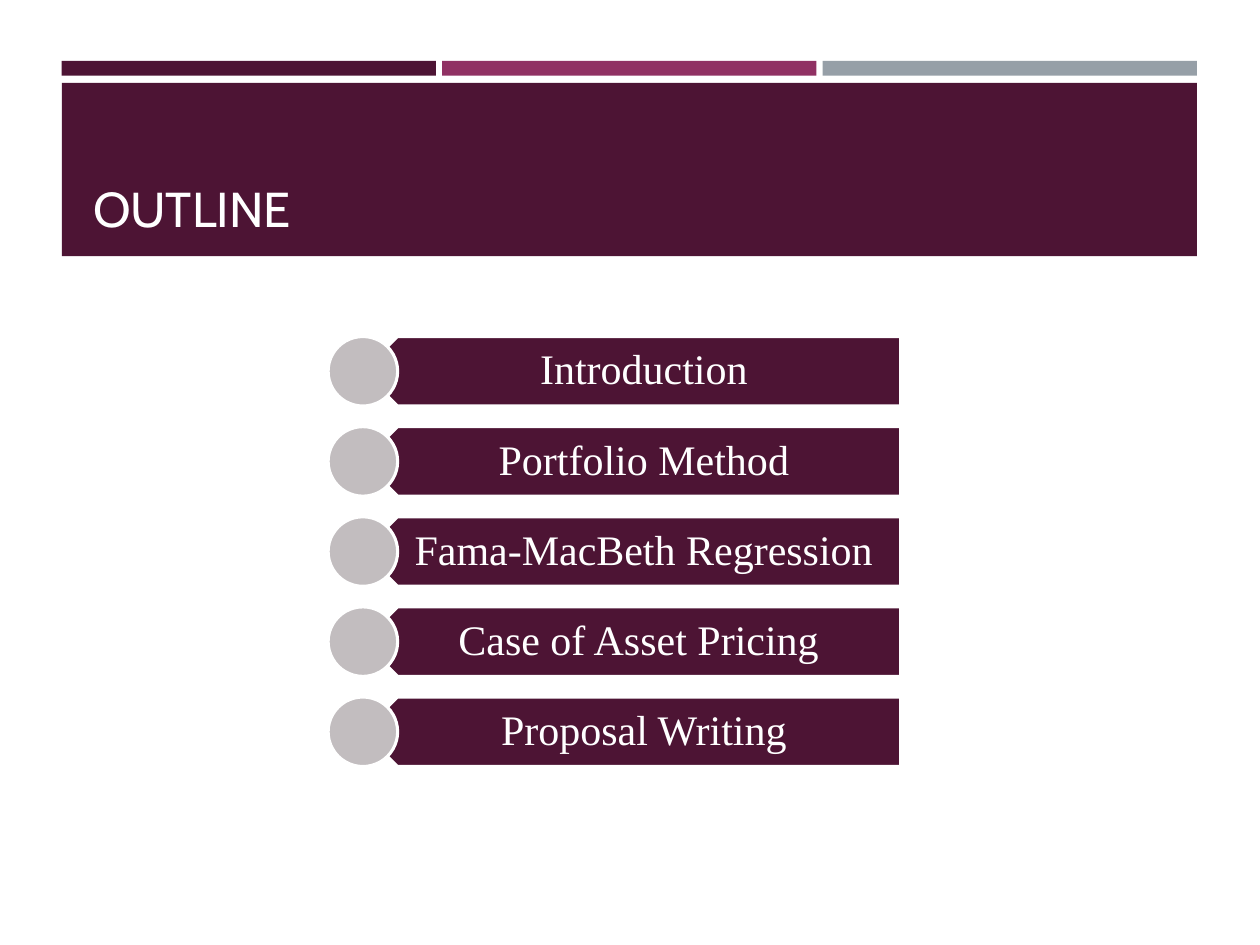
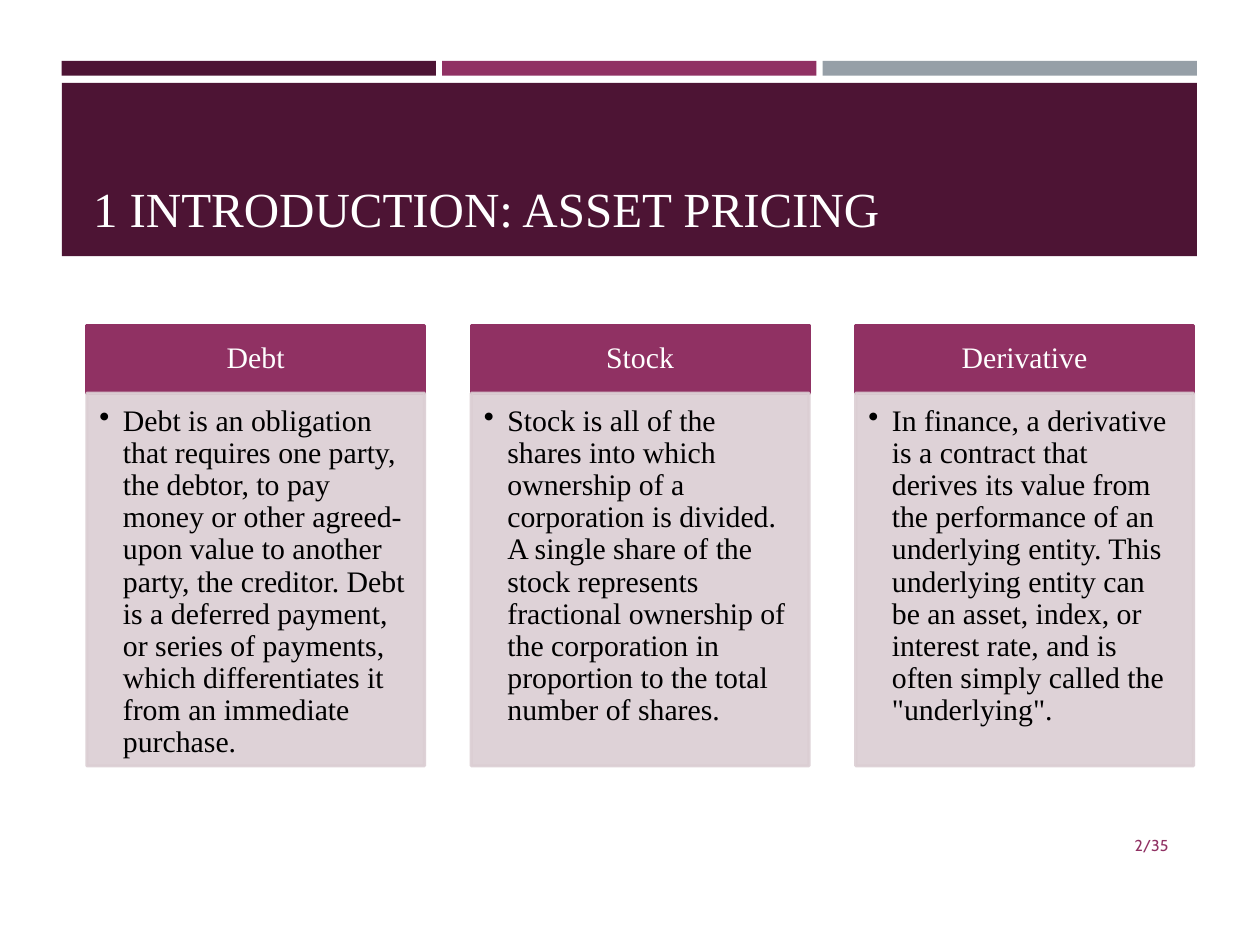
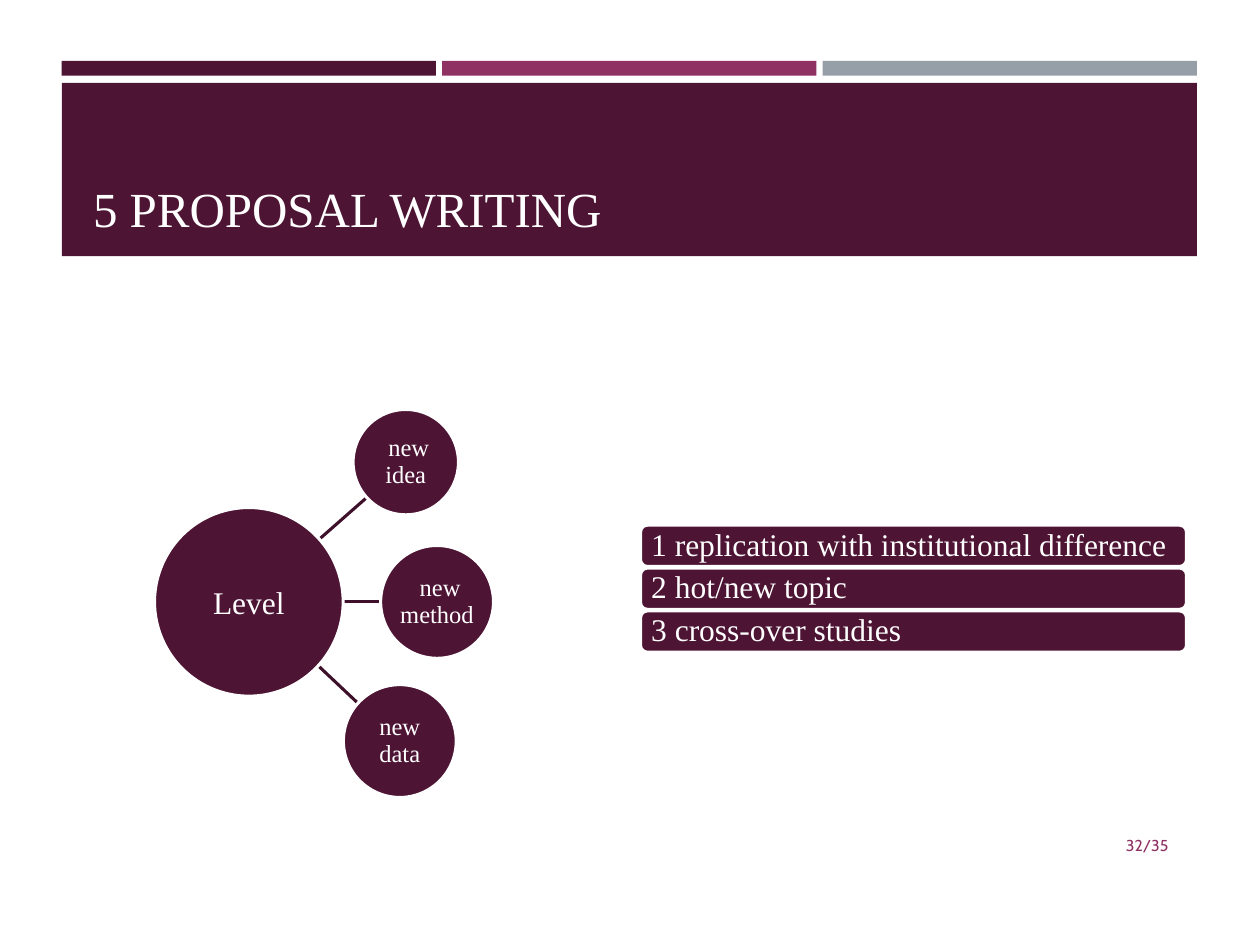
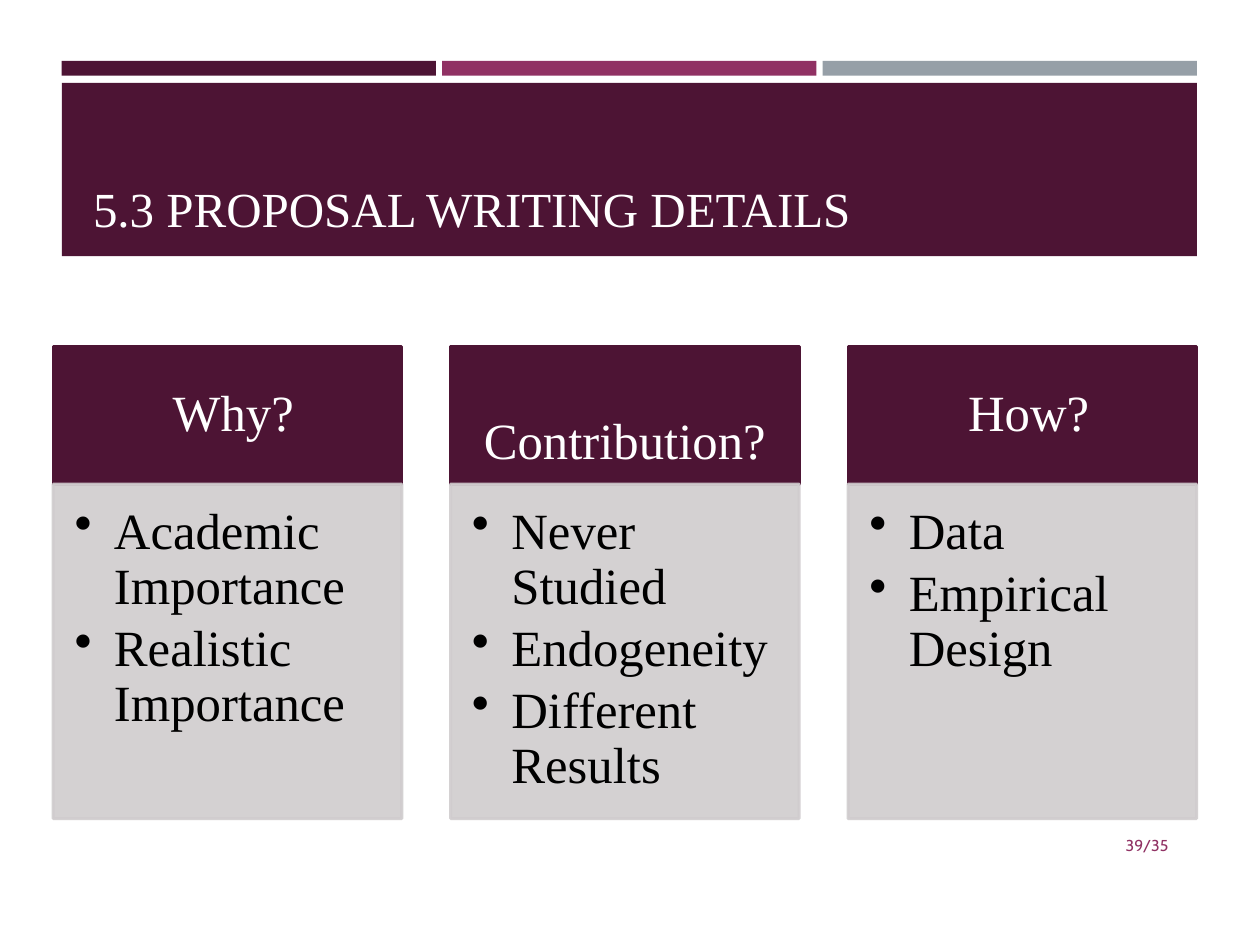
from dataclasses import dataclass

from lxml.etree import SubElement
from pptx import Presentation
from pptx.dml.color import RGBColor
from pptx.enum.shapes import MSO_CONNECTOR, MSO_SHAPE
from pptx.enum.text import MSO_ANCHOR, PP_ALIGN
from pptx.oxml.ns import qn
from pptx.presentation import Presentation as Deck
from pptx.shapes.autoshape import Shape
from pptx.slide import Slide
from pptx.util import Pt


# Theme: colours, fonts and type sizes
@dataclass(frozen=True)
class Theme:
    plum: RGBColor = RGBColor(0x4D, 0x14, 0x34)
    dark_plum: RGBColor = RGBColor(0x3E, 0x10, 0x2A)
    magenta: RGBColor = RGBColor(0x90, 0x31, 0x63)
    slate: RGBColor = RGBColor(0x96, 0x9F, 0xA7)
    dot: RGBColor = RGBColor(0xC2, 0xBD, 0xBF)
    pink_tint: RGBColor = RGBColor(0xDB, 0xCE, 0xD3)
    gray_tint: RGBColor = RGBColor(0xD0, 0xCC, 0xCE)
    white: RGBColor = RGBColor(0xFF, 0xFF, 0xFF)
    black: RGBColor = RGBColor(0, 0, 0)
    serif: str = "Times New Roman"
    sans: str = "Cabin"
    title_size: float = 28
    outline_size: float = 24
    hub_size: float = 18
    satellite_size: float = 14
    page_size: float = 9
    line_width: float = 1.75
    line_spacing: float = 0.9
    tint_opacity: int = 90


THEME = Theme()


# Repeated elements; every length is in points
@dataclass(frozen=True)
class Box:
    left: float
    top: float
    width: float
    height: float


@dataclass(frozen=True)
class TextStyle:
    size: float
    color: RGBColor = THEME.white
    font: str = THEME.serif
    align: PP_ALIGN = PP_ALIGN.LEFT
    anchor: MSO_ANCHOR = MSO_ANCHOR.MIDDLE
    spacing: float = THEME.line_spacing
    space_after: float = 0
    insets: tuple[float, float, float, float] = (7.2, 3.6, 7.2, 3.6)
    bullet_indent: float = 0


@dataclass(frozen=True)
class Card:
    heading: str
    points: tuple[str, ...]


@dataclass(frozen=True)
class CardRow:
    left: float
    top: float
    width: float
    pitch: float
    head_height: float
    body_height: float
    size: float
    indent: float
    head_fill: RGBColor
    body_fill: RGBColor


@dataclass(frozen=True)
class Satellite:
    label: str
    box: Box
    spoke: tuple[float, float, float, float]


# Drawing helpers
def write(shape: Shape, paragraphs: tuple[str, ...], style: TextStyle) -> None:
    frame = shape.text_frame
    frame.text = "\n".join(paragraphs)
    frame.word_wrap = True
    frame.vertical_anchor = style.anchor
    left, top, right, bottom = style.insets
    frame.margin_left, frame.margin_top = Pt(left), Pt(top)
    frame.margin_right, frame.margin_bottom = Pt(right), Pt(bottom)
    for para in frame.paragraphs:
        para.alignment = style.align
        para.line_spacing = style.spacing
        para.space_after = Pt(style.space_after)
        if style.bullet_indent:
            properties = para._p.get_or_add_pPr()
            properties.set("marL", str(Pt(style.bullet_indent)))
            properties.set("indent", str(-Pt(style.bullet_indent)))
            SubElement(properties, qn("a:buChar"), char="•")
        for span in para.runs:
            span.font.size = Pt(style.size)
            span.font.name = style.font
            span.font.color.rgb = style.color


def add_text(slide: Slide, box: Box, text: str, style: TextStyle) -> None:
    shape = slide.shapes.add_textbox(
        Pt(box.left), Pt(box.top), Pt(box.width), Pt(box.height))
    write(shape, (text,), style)


def add_block(slide: Slide, kind: MSO_SHAPE, box: Box, fill: RGBColor,
              line: RGBColor | None = None) -> Shape:
    shape = slide.shapes.add_shape(
        kind, Pt(box.left), Pt(box.top), Pt(box.width), Pt(box.height))
    shape.shadow.inherit = False
    shape.fill.solid()
    shape.fill.fore_color.rgb = fill
    if line is None:
        shape.line.fill.background()
    else:
        shape.line.color.rgb = line
        shape.line.width = Pt(THEME.line_width)
    return shape


def make_translucent(shape: Shape) -> None:
    for color in shape._element.spPr.iter(qn("a:srgbClr")):
        SubElement(color, qn("a:alpha"), val=str(THEME.tint_opacity * 1000))


def add_spoke(slide: Slide, ends: tuple[float, float, float, float]) -> None:
    spoke = slide.shapes.add_connector(
        MSO_CONNECTOR.STRAIGHT, *(Pt(end) for end in ends))
    spoke.line.color.rgb = THEME.dark_plum
    spoke.line.width = Pt(THEME.line_width)
    SubElement(spoke._element.spPr, qn("a:effectLst"))


# Shared frame: three strips, title band, page number
FRAME = Box(35.3, 34.8, 648.7, 8.4)
STRIP_GAP = 3.6
TITLE_BAND = Box(35.3, 47.4, 648.7, 99)
TITLE_BOX = Box(46.1, 54, 629.3, 85)
PAGE_BOX = Box(614.2, 468.7, 60.5, 28.8)


def add_page(deck: Deck, title: str, number: str = "",
             title_font: str = THEME.serif) -> Slide:
    slide = deck.slides.add_slide(deck.slide_layouts[6])
    strip_colors = (THEME.plum, THEME.magenta, THEME.slate)
    strip_width = (FRAME.width - 2 * STRIP_GAP) / 3
    for index, color in enumerate(strip_colors):
        left = FRAME.left + index * (strip_width + STRIP_GAP)
        strip = Box(left, FRAME.top, strip_width, FRAME.height)
        add_block(slide, MSO_SHAPE.RECTANGLE, strip, color)
    add_block(slide, MSO_SHAPE.RECTANGLE, TITLE_BAND, THEME.plum)
    add_text(slide, TITLE_BOX, title, TextStyle(
        THEME.title_size, font=title_font, anchor=MSO_ANCHOR.BOTTOM, spacing=1))
    if number:
        add_text(slide, PAGE_BOX, number, TextStyle(
            THEME.page_size, THEME.magenta, THEME.sans, PP_ALIGN.RIGHT, spacing=1))
    return slide


def add_cards(slide: Slide, row: CardRow, cards: tuple[Card, ...]) -> None:
    # Insets grow with the type size
    side, head_edge = 0.56 * row.size, 0.32 * row.size
    body_edge, body_bottom = 0.42 * row.size, 0.63 * row.size
    head_style = TextStyle(row.size, align=PP_ALIGN.CENTER,
                           insets=(side, head_edge, side, head_edge))
    body_style = TextStyle(row.size, THEME.black, anchor=MSO_ANCHOR.TOP,
                           space_after=0.15 * row.size,
                           insets=(body_edge, body_edge, side, body_bottom),
                           bullet_indent=row.indent)
    for index, card in enumerate(cards):
        left = row.left + index * row.pitch
        head_box = Box(left, row.top, row.width, row.head_height)
        body_box = Box(left, row.top + row.head_height, row.width, row.body_height)
        head = add_block(slide, MSO_SHAPE.RECTANGLE, head_box,
                         row.head_fill, row.head_fill)
        write(head, (card.heading,), head_style)
        body = add_block(slide, MSO_SHAPE.RECTANGLE, body_box,
                         row.body_fill, row.body_fill)
        make_translucent(body)
        write(body, card.points, body_style)


# Slide 1: outline
def build_outline(deck: Deck) -> None:
    slide = add_page(deck, "OUTLINE", title_font=THEME.sans)
    chapters = ("Introduction", "Portfolio Method", "Fama-MacBeth Regression",
                "Case of Asset Pricing ", "Proposal Writing")
    height, pitch = 39.7, 51.5
    label_style = TextStyle(THEME.outline_size, align=PP_ALIGN.CENTER,
                            insets=(17.5, 7.2, 13.5, 7.2))
    for index, chapter in enumerate(chapters):
        top = 192.3 + index * pitch
        arrow = add_block(slide, MSO_SHAPE.PENTAGON, Box(207.3, top, 307.3, height),
                          THEME.plum, THEME.white)
        arrow.rotation = 180
        add_text(slide, Box(217.3, top, 297.3, height), chapter, label_style)
        add_block(slide, MSO_SHAPE.OVAL, Box(187.5, top, height, height),
                  THEME.dot, THEME.white)


# Slide 2: asset classes
def build_introduction(deck: Deck) -> None:
    slide = add_page(deck, "1 INTRODUCTION: ASSET PRICING", "2/35")
    row = CardRow(left=49.6, top=185.9, width=193, pitch=219.7, head_height=38.8,
                  body_height=213, size=17, indent=13.5,
                  head_fill=THEME.magenta, body_fill=THEME.pink_tint)
    add_cards(slide, row, (
        Card("Debt", (
            "Debt is an obligation that requires one party, the debtor, to pay "
            "money or other agreed-upon value to another party, the creditor. "
            "Debt is a deferred payment, or series of payments, which "
            "differentiates it from an immediate purchase.",)),
        Card("Stock", (
            "Stock is all of the shares into which ownership of a corporation "
            "is divided. A single share of the stock represents fractional "
            "ownership of the corporation in proportion to the total number "
            "of shares.",)),
        Card("Derivative", (
            "In finance, a derivative is a contract that derives its value from "
            "the performance of an underlying entity. This underlying entity "
            "can be an asset, index, or interest rate, and is often simply "
            'called the "underlying".',)),
    ))


# Slide 3: levels of novelty and ways to get there
def build_proposal(deck: Deck) -> None:
    slide = add_page(deck, "5 PROPOSAL WRITING", "32/35")
    satellites = (
        Satellite(" new idea", Box(201.8, 234, 60.2, 60.2), (180, 310.3, 209.5, 284.4)),
        Satellite(" new method", Box(217.5, 311.7, 64.5, 64.5), (180, 343.7, 217.4, 343.7)),
        Satellite("new data", Box(196.2, 391.2, 64.5, 64.5), (180, 378.7, 204.5, 401.8)),
    )
    for satellite in satellites:
        add_spoke(slide, satellite.spoke)
    hub = add_block(slide, MSO_SHAPE.OVAL, Box(88.3, 290, 107.8, 107.8),
                    THEME.plum, THEME.white)
    write(hub, ("Level",), TextStyle(THEME.hub_size, align=PP_ALIGN.CENTER, spacing=1))
    satellite_style = TextStyle(THEME.satellite_size, align=PP_ALIGN.CENTER,
                                insets=(0.7, 0.7, 0.7, 0.7))
    for satellite in satellites:
        circle = add_block(slide, MSO_SHAPE.OVAL, satellite.box, THEME.plum, THEME.white)
        write(circle, (satellite.label,), satellite_style)

    approaches = ("1 replication with institutional difference",
                  "2 hot/new topic", "3 cross-over studies")
    bar_style = TextStyle(THEME.hub_size, insets=(5, 5, 5, 5))
    for index, approach in enumerate(approaches):
        bar = add_block(slide, MSO_SHAPE.ROUNDED_RECTANGLE,
                        Box(366, 300.1 + index * 24.5, 312, 23.6),
                        THEME.plum, THEME.white)
        write(bar, (approach,), bar_style)


# Slide 4: questions a proposal answers
def build_details(deck: Deck) -> None:
    slide = add_page(deck, "5.3 PROPOSAL WRITING DETAILS", "39/35")
    row = CardRow(left=30.4, top=198.2, width=199.2, pitch=227.1, head_height=78.5,
                  body_height=191.1, size=29, indent=22.5,
                  head_fill=THEME.plum, body_fill=THEME.gray_tint)
    add_cards(slide, row, (
        Card(" Why?", ("Academic Importance", "Realistic Importance")),
        Card(" Contribution? ", ("Never Studied", "Endogeneity", "Different Results")),
        Card(" How?", ("Data", "Empirical Design")),
    ))


def main() -> None:
    deck = Presentation()
    deck.slide_width, deck.slide_height = Pt(720), Pt(540)
    for build in (build_outline, build_introduction, build_proposal, build_details):
        build(deck)
    deck.save("out.pptx")


if __name__ == "__main__":
    main()
